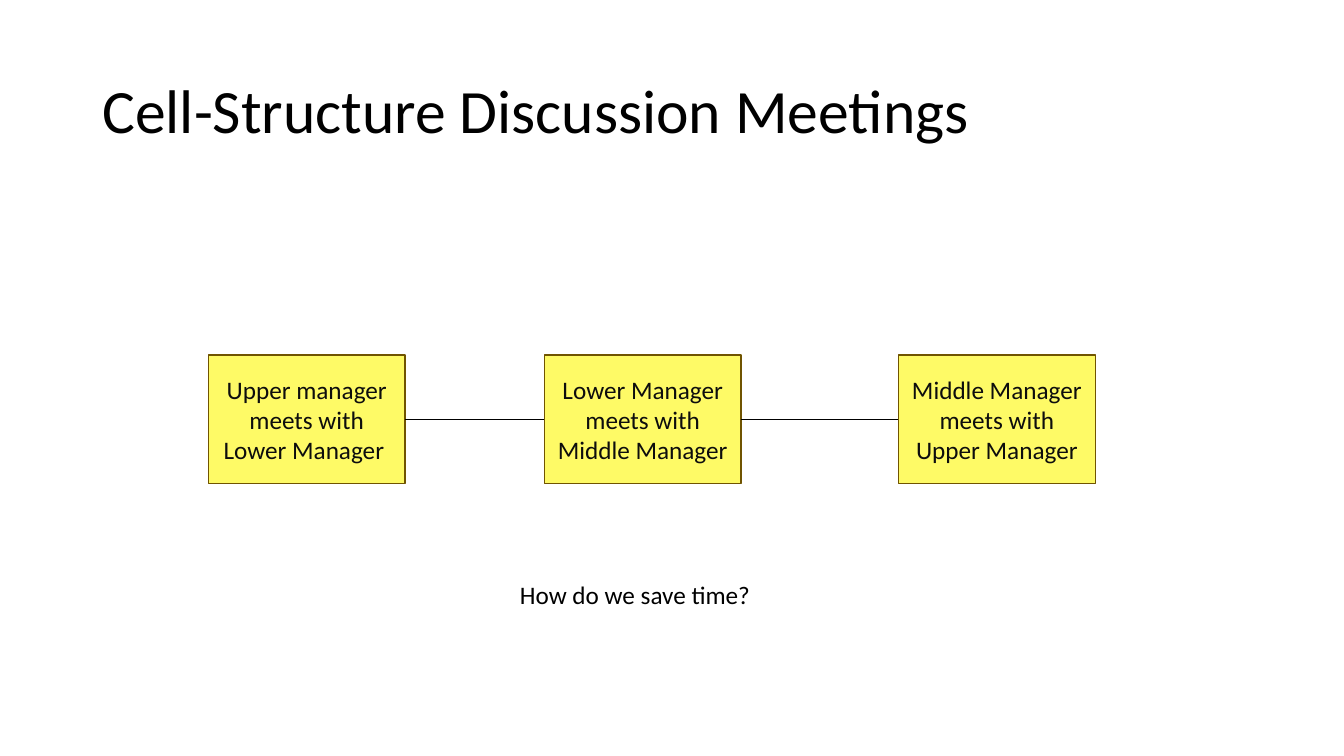
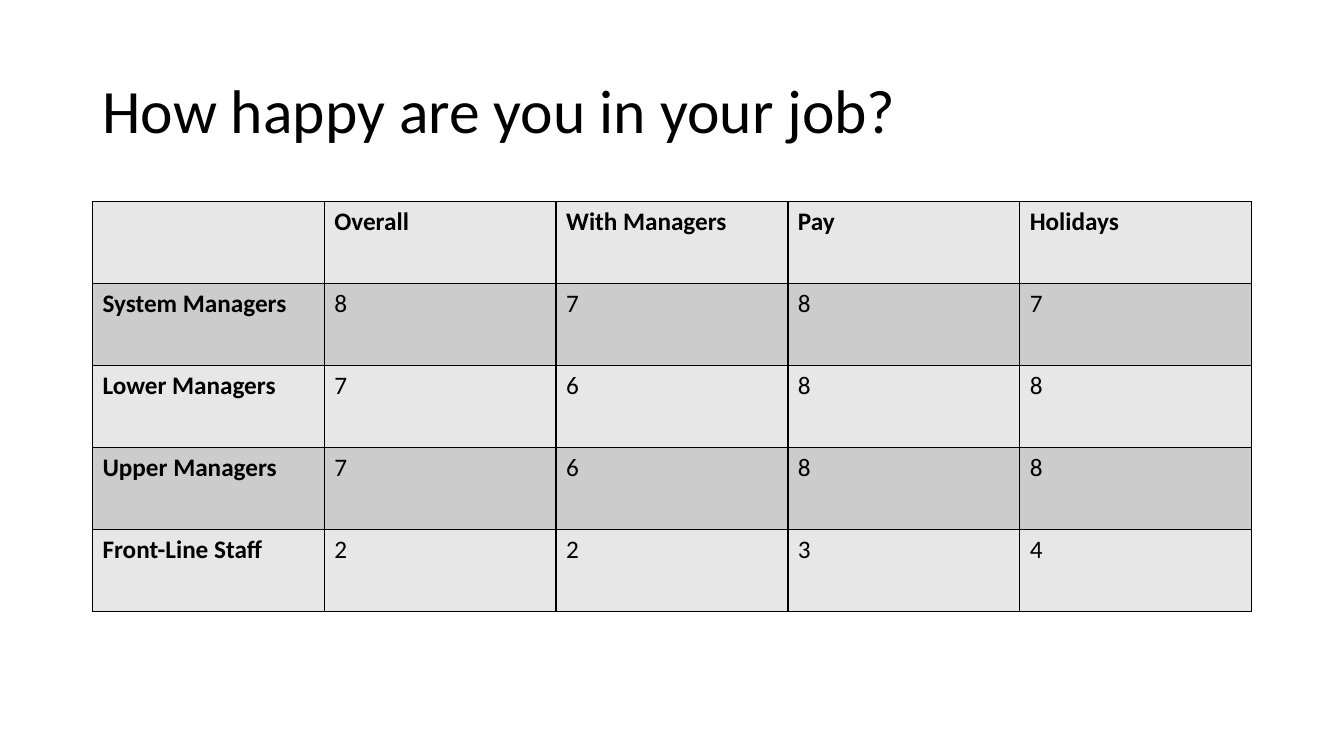
from lxml.etree import SubElement
from pptx import Presentation
from pptx.dml.color import RGBColor
from pptx.enum.shapes import MSO_CONNECTOR, MSO_SHAPE
from pptx.enum.text import MSO_ANCHOR, PP_ALIGN
from pptx.oxml.ns import qn
from pptx.util import Inches, Pt

# Shared look
FONT = "Calibri"
TITLE_SIZE = 44
BODY_SIZE = 18
BLACK = RGBColor(0x00, 0x00, 0x00)
WHITE = RGBColor(0xFF, 0xFF, 0xFF)
INK = RGBColor(0x0D, 0x0D, 0x0D)
YELLOW = RGBColor(0xFE, 0xFA, 0x66)
BROWN = RGBColor(0x70, 0x54, 0x00)
BANDS = (RGBColor(0xE7, 0xE7, 0xE7), RGBColor(0xCC, 0xCC, 0xCC))

# Places, in percent of the slide's width and height
SLIDE_WIDTH = Inches(13.33)
SLIDE_HEIGHT = Inches(7.5)
MARGIN, CONTENT_WIDTH = 6.88, 86.25
TITLE_TOP, TITLE_HEIGHT = 5.33, 19.33
MEETING_TOP, MEETING_WIDTH, MEETING_HEIGHT = 46.95, 14.65, 17.05
TABLE_TOP, TABLE_HEIGHT = 26.67, 54.25

MEETINGS = (
    (15.5, "Upper manager meets with Lower Manager "),
    (40.5, "Lower Manager meets with Middle Manager"),
    (66.85, "Middle Manager meets with Upper Manager"),
)
SCORES = (
    ("", "Overall", "With Managers", "Pay", "Holidays"),
    ("System Managers", "8", "7", "8", "7"),
    ("Lower Managers", "7", "6", "8", "8"),
    ("Upper Managers", "7", "6", "8", "8"),
    ("Front-Line Staff", "2", "2", "3", "4"),
)


def area(left, top, width, height):
    """Turn percentages of the slide into lengths."""
    return (int(SLIDE_WIDTH * left / 100), int(SLIDE_HEIGHT * top / 100),
            int(SLIDE_WIDTH * width / 100), int(SLIDE_HEIGHT * height / 100))


def write(frame, text, size=BODY_SIZE, color=BLACK, bold=False,
          align=PP_ALIGN.LEFT):
    frame.word_wrap = True
    para = frame.paragraphs[0]
    para.alignment = align
    span = para.add_run()
    span.text = text
    span.font.name = FONT
    span.font.size = Pt(size)
    span.font.bold = bold
    span.font.color.rgb = color
    return para


def add_page(deck, title):
    page = deck.slides.add_slide(deck.slide_layouts[6])
    box = page.shapes.add_textbox(
        *area(MARGIN, TITLE_TOP, CONTENT_WIDTH, TITLE_HEIGHT))
    box.text_frame.vertical_anchor = MSO_ANCHOR.MIDDLE
    write(box.text_frame, title, TITLE_SIZE).line_spacing = 0.9
    return page


def add_meeting(page, left, text):
    box = page.shapes.add_shape(
        MSO_SHAPE.RECTANGLE,
        *area(left, MEETING_TOP, MEETING_WIDTH, MEETING_HEIGHT))
    box.shadow.inherit = False
    box.fill.solid()
    box.fill.fore_color.rgb = YELLOW
    box.line.color.rgb = BROWN
    box.line.width = Pt(1)
    box.text_frame.vertical_anchor = MSO_ANCHOR.MIDDLE
    write(box.text_frame, text, color=INK, align=PP_ALIGN.CENTER)
    return box


def join(page, before, after):
    link = page.shapes.add_connector(MSO_CONNECTOR.STRAIGHT, 0, 0, 0, 0)
    link.begin_connect(before, 3)
    link.end_connect(after, 1)
    link.line.color.rgb = BLACK
    link.line.width = Pt(0.5)
    SubElement(link._element.spPr, qn("a:effectLst"))


def add_question(page, text):
    box = page.shapes.add_textbox(*area(37.95, 76, 19.8, 5.38))
    box.line.color.rgb = WHITE
    box.line.width = Pt(0.75)
    write(box.text_frame, text)


def style_cell(cell, fill):
    # Borders come before the fill in the cell's properties
    properties = cell._tc.get_or_add_tcPr()
    for side in ("a:lnL", "a:lnR", "a:lnT", "a:lnB"):
        border = SubElement(properties, qn(side), w=str(Pt(1)))
        paint = SubElement(border, qn("a:solidFill"))
        SubElement(paint, qn("a:srgbClr"), val=str(BLACK))
    cell.fill.solid()
    cell.fill.fore_color.rgb = fill


def add_score_table(page, rows):
    place = area(MARGIN, TABLE_TOP, CONTENT_WIDTH, TABLE_HEIGHT)
    table = page.shapes.add_table(len(rows), len(rows[0]), *place).table
    for row, values in enumerate(rows):
        for column, value in enumerate(values):
            cell = table.cell(row, column)
            style_cell(cell, BANDS[row % 2])
            if value:
                write(cell.text_frame, value, bold=row == 0 or column == 0)


def main():
    deck = Presentation()
    deck.slide_width = SLIDE_WIDTH
    deck.slide_height = SLIDE_HEIGHT

    # Chain of meetings
    page = add_page(deck, "Cell-Structure Discussion Meetings")
    boxes = [add_meeting(page, left, text) for left, text in MEETINGS]
    for before, after in zip(boxes, boxes[1:]):
        join(page, before, after)
    add_question(page, "How do we save time?")

    # Job satisfaction scores
    page = add_page(deck, "How happy are you in your job?")
    add_score_table(page, SCORES)

    deck.save("out.pptx")


if __name__ == "__main__":
    main()
